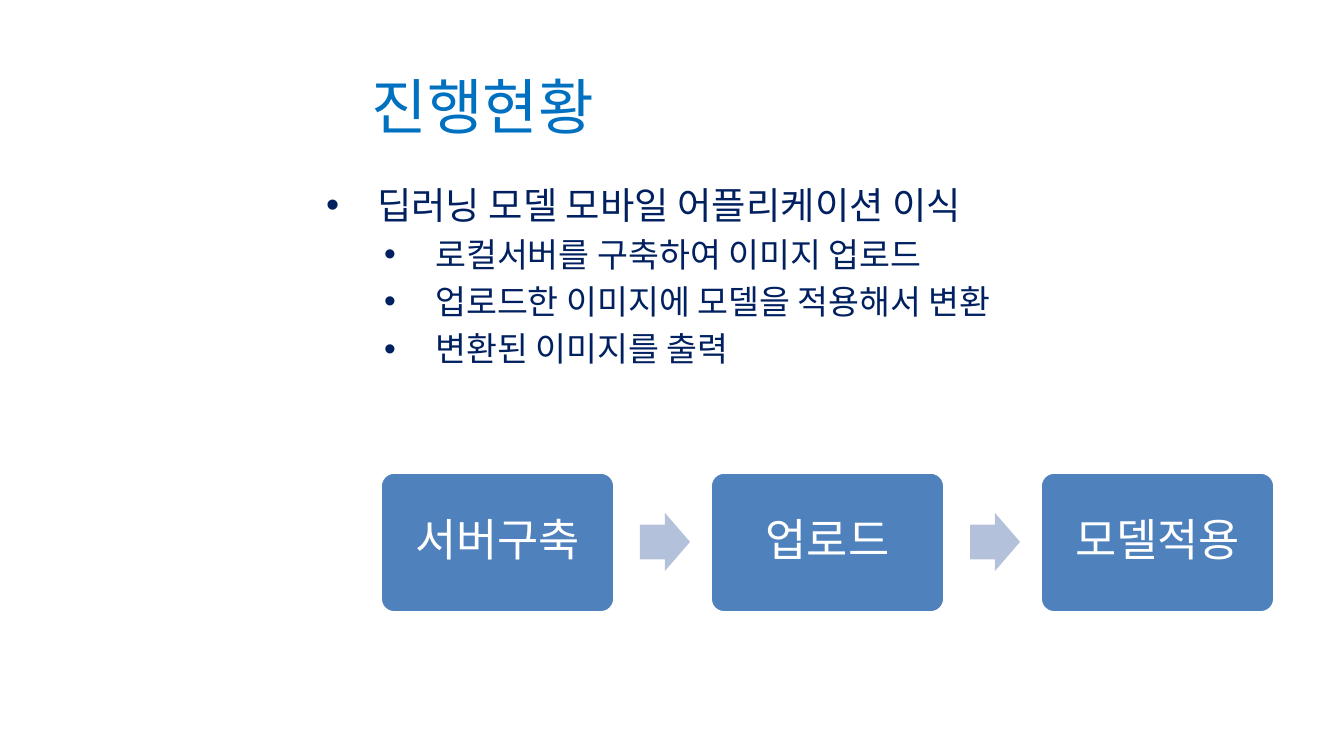
import pptx
import pptx.util
import pptx.dml.color
import pptx.enum.shapes
import pptx.enum.text
import pptx.oxml.ns
import lxml.etree

EMU_PER_PX = 914400 / 134.4
SHAPES = pptx.enum.shapes.MSO_SHAPE
ALIGN = pptx.enum.text.PP_ALIGN
ANCHOR = pptx.enum.text.MSO_ANCHOR

BLUE, NAVY, WHITE = "0070C0", "002060", "FFFFFF"
STEP_FILL, ARROW_FILL = "4F81BD", "B3C1DB"

TASKS = [
    (1, "딥러닝 모델 모바일 어플리케이션 이식"),
    (2, "로컬서버를 구축하여 이미지 업로드"),
    (2, "업로드한 이미지에 모델을 적용해서 변환"),
    (2, "변환된 이미지를 출력"),
]
TASK_LEVELS = {1: {"indent": 51, "size": 20}, 2: {"indent": 109, "size": 18}}
BULLET_HANG = 51

STEPS = ["서버구축", "업로드", "모델적용"]
STEP_LEFT, STEP_TOP, STEP_WIDTH, STEP_HEIGHT = 380, 472, 235, 141
STEP_PITCH = 330
STEP_INSET = 13
ARROW_WIDTH, ARROW_HEIGHT = 50, 58
ARROW_OFFSET = STEP_WIDTH + 25


def px(length):
    return pptx.util.Emu(round(length * EMU_PER_PX))


def color(hex_value):
    return pptx.dml.color.RGBColor.from_string(hex_value)


def apply_format(target, values):
    for name, value in values.items():
        setattr(target, name, value)


class SlideBuilder:
    font_name = "Calibri"

    def __init__(self, slide):
        self.slide = slide

    def style_text(self, paragraph, size, hex_value, **paragraph_format):
        apply_format(paragraph, paragraph_format)
        apply_format(paragraph.font, {"name": self.font_name, "size": pptx.util.Pt(size)})
        paragraph.font.color.rgb = color(hex_value)

    def title(self, text, left, top, width, height):
        heading = self.slide.shapes.title
        apply_format(heading, {"left": px(left), "top": px(top),
                               "width": px(width), "height": px(height)})
        heading.text_frame.text = text
        heading.text_frame.vertical_anchor = ANCHOR.MIDDLE
        self.style_text(heading.text_frame.paragraphs[0], 32.4, BLUE, alignment=ALIGN.LEFT)

    def bullet(self, paragraph, indent):
        """Give the paragraph a hanging round bullet."""
        properties = paragraph._p.get_or_add_pPr()
        properties.set("marL", str(px(indent)))
        properties.set("indent", str(-px(BULLET_HANG)))
        for tag, attribute, value in (("a:buFont", "typeface", "Arial"),
                                      ("a:buChar", "char", "•")):
            mark = lxml.etree.SubElement(properties, pptx.oxml.ns.qn(tag))
            mark.set(attribute, value)

    def bullet_list(self, items, left, top, width, height):
        frame = self.slide.shapes.add_textbox(
            px(left), px(top), px(width), px(height)).text_frame
        frame.word_wrap = True
        for index, (level, text) in enumerate(items):
            paragraph = frame.add_paragraph() if index else frame.paragraphs[0]
            paragraph.text = text
            size = TASK_LEVELS[level]["size"]
            self.bullet(paragraph, TASK_LEVELS[level]["indent"])
            self.style_text(paragraph, size, NAVY, level=level - 1,
                            space_before=pptx.util.Pt(size * 0.2 if index else 0))

    def filled_shape(self, preset, left, top, width, height, fill, adjustments):
        shape = self.slide.shapes.add_shape(preset, px(left), px(top), px(width), px(height))
        shape.shadow.inherit = False
        shape.fill.solid()
        shape.fill.fore_color.rgb = color(fill)
        shape.line.fill.background()
        for index, value in enumerate(adjustments):
            shape.adjustments[index] = value
        return shape

    def step(self, text, left):
        box = self.filled_shape(SHAPES.ROUNDED_RECTANGLE, left, STEP_TOP,
                                STEP_WIDTH, STEP_HEIGHT, STEP_FILL, [0.1])
        box.line.color.rgb = color(WHITE)
        box.line.width = pptx.util.Pt(2)
        frame = box.text_frame
        apply_format(frame, {"text": text, "word_wrap": True, "vertical_anchor": ANCHOR.MIDDLE})
        for side in ("left", "top", "right", "bottom"):
            setattr(frame, f"margin_{side}", px(STEP_INSET))
        self.style_text(frame.paragraphs[0], 24, WHITE, alignment=ALIGN.CENTER,
                        line_spacing=0.9, space_after=pptx.util.Pt(8.4))

    def arrow(self, left):
        top = STEP_TOP + (STEP_HEIGHT - ARROW_HEIGHT) // 2
        self.filled_shape(SHAPES.RIGHT_ARROW, left, top, ARROW_WIDTH, ARROW_HEIGHT,
                          ARROW_FILL, [0.6, 0.5])


def main():
    deck = pptx.Presentation()
    apply_format(deck, {"slide_width": px(1344), "slide_height": px(756)})
    builder = SlideBuilder(deck.slides.add_slide(deck.slide_layouts.get_by_name("Title Only")))

    builder.title("진행현황", 358, 63, 921, 85)
    builder.bullet_list(TASKS, 313, 176, 965, 493)
    for index, name in enumerate(STEPS):
        left = STEP_LEFT + index * STEP_PITCH
        builder.step(name, left)
        if index < len(STEPS) - 1:
            builder.arrow(left + ARROW_OFFSET)

    deck.save("out.pptx")


if __name__ == "__main__":
    main()
